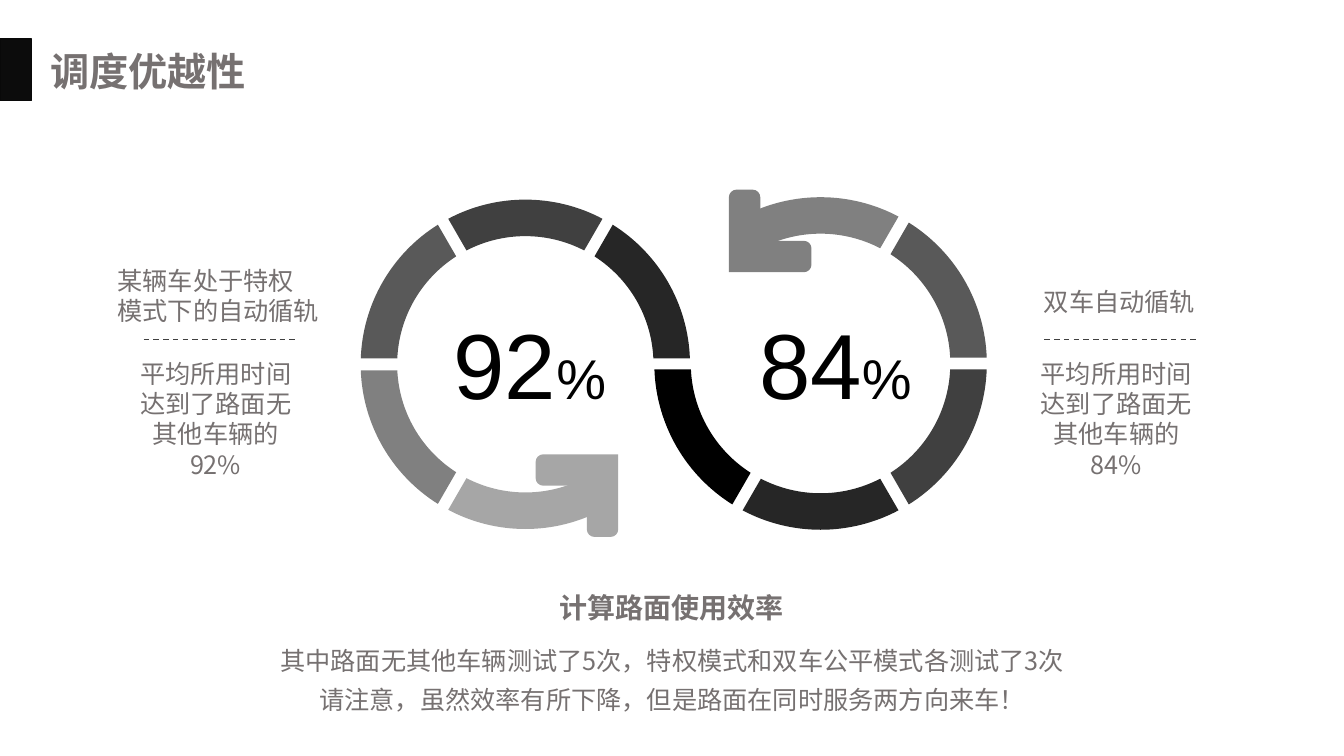
from dataclasses import dataclass
from math import asin, cos, pi, sin, tan

from lxml.etree import SubElement
from pptx import Presentation
from pptx.dml.color import RGBColor
from pptx.enum.dml import MSO_LINE
from pptx.enum.shapes import MSO_CONNECTOR, MSO_SHAPE
from pptx.enum.text import MSO_AUTO_SIZE as AutoSize, PP_ALIGN as Align
from pptx.oxml.ns import qn
from pptx.util import Cm, Pt


@dataclass(frozen=True)
class Theme:
    text: str = "767171"
    number: str = "000000"
    marker: str = "0C0C0C"
    marker_line: str = "090909"
    rule: str = "404040"
    cjk: str = "Noto Sans CJK SC"
    latin: str = "Arial"
    title: int = 28
    heading: int = 20
    body: int = 18
    figure: int = 66
    percent: int = 40


def arc(cx, cy, radius, start, end, parts=1):
    """A straight step to the start of the arc, then Bézier steps along it."""
    def point(a, reach=0):
        return (cx + radius * (cos(a) - reach * sin(a)),
                cy + radius * (sin(a) + reach * cos(a)))

    turn = (end - start) / parts
    reach = 4 / 3 * tan(turn / 4)
    steps = [[point(start)]]
    for i in range(parts):
        a, b = start + i * turn, start + (i + 1) * turn
        steps.append([point(a, reach), point(b, -reach), point(b)])
    return steps


class Deck:
    def __init__(self, slide, theme):
        self.shapes = slide.shapes
        self.theme = theme

    def marker(self, x, y, w, h):
        sp = self.shapes.add_shape(MSO_SHAPE.RECTANGLE, Cm(x), Cm(y), Cm(w), Cm(h))
        sp.shadow.inherit = False
        sp.fill.solid()
        sp.fill.fore_color.rgb = RGBColor.from_string(self.theme.marker)
        sp.line.color.rgb = RGBColor.from_string(self.theme.marker_line)
        sp.line.width = Pt(1)

    def text(self, box, paragraphs, wrap=False, align=Align.LEFT, spacing=None, **style):
        """Each paragraph is a list of (text, size) runs."""
        tf = self.shapes.add_textbox(*map(Cm, box)).text_frame
        tf.word_wrap = wrap
        tf.auto_size = AutoSize.SHAPE_TO_FIT_TEXT
        style = {"name": self.theme.cjk, "bold": False, **style}
        color = RGBColor.from_string(style.pop("color", self.theme.text))
        for i, runs in enumerate(paragraphs):
            p = tf.add_paragraph() if i else tf.paragraphs[0]
            p.alignment = align
            p.line_spacing = spacing
            for content, size in runs:
                r = p.add_run()
                r.text = content
                for key, value in {**style, "size": Pt(size)}.items():
                    setattr(r.font, key, value)
                r.font.color.rgb = color
                SubElement(r.font._element, qn("a:ea"), typeface=self.theme.cjk)

    def outline(self, steps, color):
        """Steps of one point are straight; steps of three points are Bézier curves."""
        steps = [[(Cm(x), Cm(y)) for x, y in step] for step in steps]
        ends = [step[-1] for step in steps]
        builder = self.shapes.build_freeform(*ends[0], scale=1.0)
        builder.add_line_segments(ends[1:], close=True)
        sp = builder.convert_to_shape()
        for line, step in zip(list(sp._element.iter(qn("a:lnTo"))), steps[1:]):
            if len(step) == 3:
                curve = line.makeelement(qn("a:cubicBezTo"))
                for x, y in step:
                    SubElement(curve, qn("a:pt"), x=str(x - sp.left), y=str(y - sp.top))
                line.getparent().replace(line, curve)
        sp.shadow.inherit = False
        sp.fill.solid()
        sp.fill.fore_color.rgb = RGBColor.from_string(color)
        sp.line.fill.background()

    def ring(self, cx, cy, outer, colors, thick=0.92, gap=0.3):
        """Sixths of a ring, counted clockwise from the right, with gaps of even width."""
        inner = outer - thick
        for k, color in colors.items():
            start, end = k * pi / 3, (k + 1) * pi / 3
            trim_out, trim_in = asin(gap / 2 / outer), asin(gap / 2 / inner)
            self.outline(arc(cx, cy, outer, start + trim_out, end - trim_out, 2)
                         + arc(cx, cy, inner, end - trim_in, start + trim_in, 2), color)

    def arrowhead(self, x, y, side, color, size=2.08, thick=0.79, r=0.19):
        """An L with its tip at x, y; side 1 opens up and right, -1 down and left."""
        steps = [[(0, 0)],
                 *arc(size - r, r, r, -pi / 2, 0),
                 *arc(size - r, thick - r, r, 0, pi / 2),
                 [(thick, thick)],
                 *arc(thick - r, size - r, r, 0, pi / 2),
                 *arc(r, size - r, r, pi / 2, pi)]
        self.outline([[(x + side * u, y - side * v) for u, v in step] for step in steps], color)

    def dashed_rule(self, x, y, length):
        line = self.shapes.add_connector(MSO_CONNECTOR.STRAIGHT,
                                         Cm(x), Cm(y), Cm(x + length), Cm(y))
        line.line.color.rgb = RGBColor.from_string(self.theme.rule)
        line.line.width = Pt(1)
        line.line.dash_style = MSO_LINE.DASH
        SubElement(line._element.spPr, qn("a:effectLst"))

    def panel(self, x, head_box, head, share):
        size = self.theme.body
        self.text(head_box, [[(row, size)] for row in head])
        self.text((x, 8.9, 4.93, 3.33),
                  [[(f"平均所用时间达到了路面无其他车辆的{share}%", size)]],
                  wrap=True, align=Align.CENTER)
        self.dashed_rule(x + 0.65, 8.55, 3.84)

    def figure(self, x, share):
        t = self.theme
        self.text((x, 7.62, 4.39, 3.07), [[(str(share), t.figure), ("%", t.percent)]],
                  name=t.latin, color=t.number)


def main():
    prs = Presentation()
    prs.slide_width, prs.slide_height = Cm(33.87), Cm(19.05)
    t = Theme()
    s = Deck(prs.slides.add_slide(prs.slide_layouts[6]), t)

    s.marker(0, 0.98, 0.8, 1.55)
    s.text((1.02, 1.07, 5.51, 1.45), [[("调度优越性", t.title)]], bold=True)

    s.ring(20.68, 9.16, 4.19,
           {5: "595959", 0: "404040", 4: "808080", 1: "262626", 2: "000000"})
    s.arrowhead(18.37, 6.86, 1, "808080")
    s.ring(13.24, 9.18, 4.15,
           {5: "262626", 4: "404040", 2: "808080", 3: "595959", 1: "A6A6A6"})
    s.arrowhead(15.58, 11.45, -1, "A6A6A6")

    s.figure(18.88, 84)
    s.figure(11.18, 92)

    summary = ["其中路面无其他车辆测试了5次，特权模式和双车公平模式各测试了3次",
               "请注意，虽然效率有所下降，但是路面在同时服务两方向来车！"]
    s.text((5.47, 15.9, 22.94, 2.16), [[(row, t.body)] for row in summary],
           wrap=True, align=Align.CENTER, spacing=1.3)
    s.text((13.81, 14.76, 6.22, 1.12), [[("计算路面使用效率", t.heading)]],
           align=Align.CENTER, name=t.latin, bold=True)

    s.panel(25.67, (26.06, 7.1, 4.37, 1.02), ["双车自动循轨"], 84)
    s.panel(2.97, (2.71, 6.55, 5.64, 1.8), ["某辆车处于特权", "模式下的自动循轨"], 92)
    prs.save("out.pptx")


if __name__ == "__main__":
    main()
